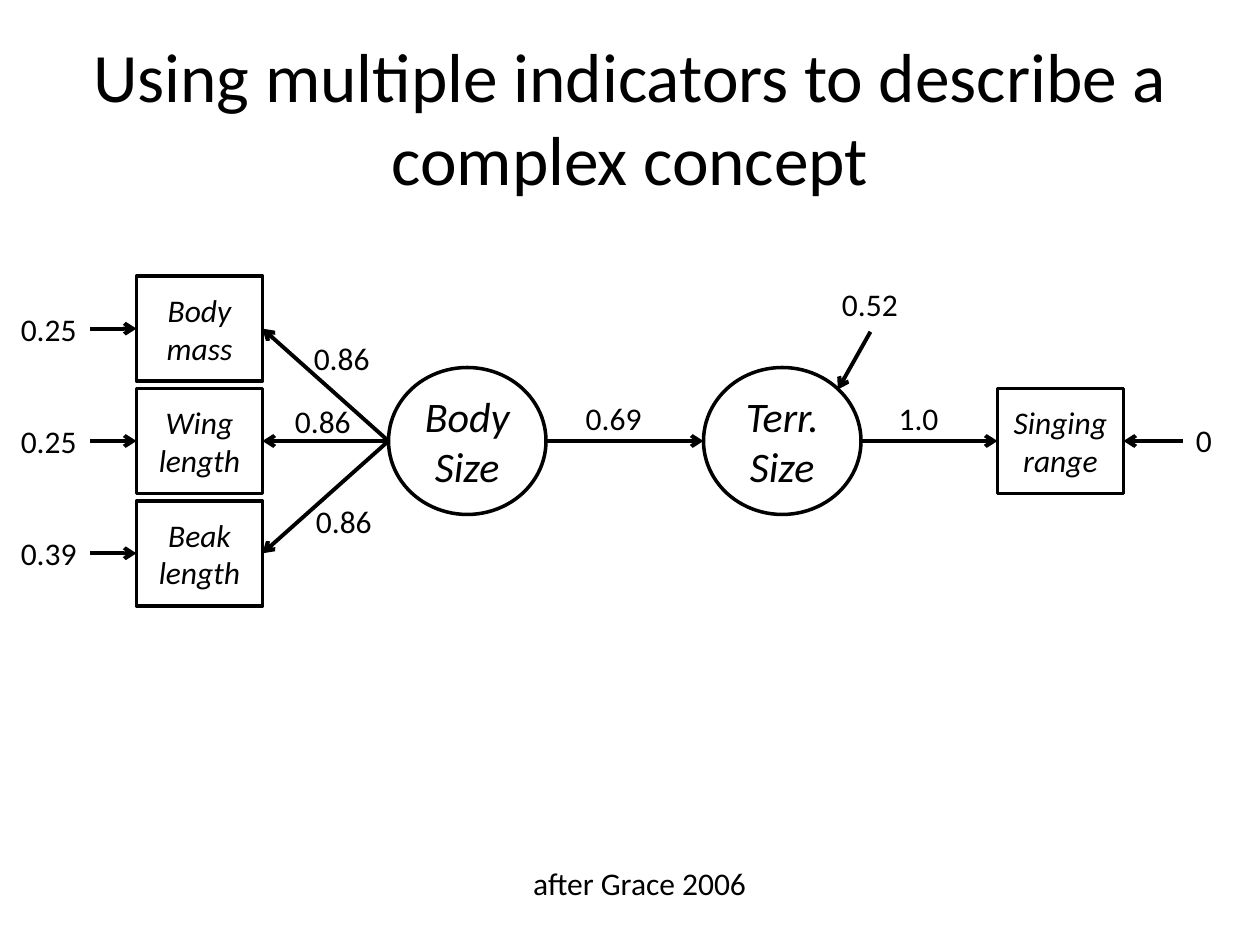
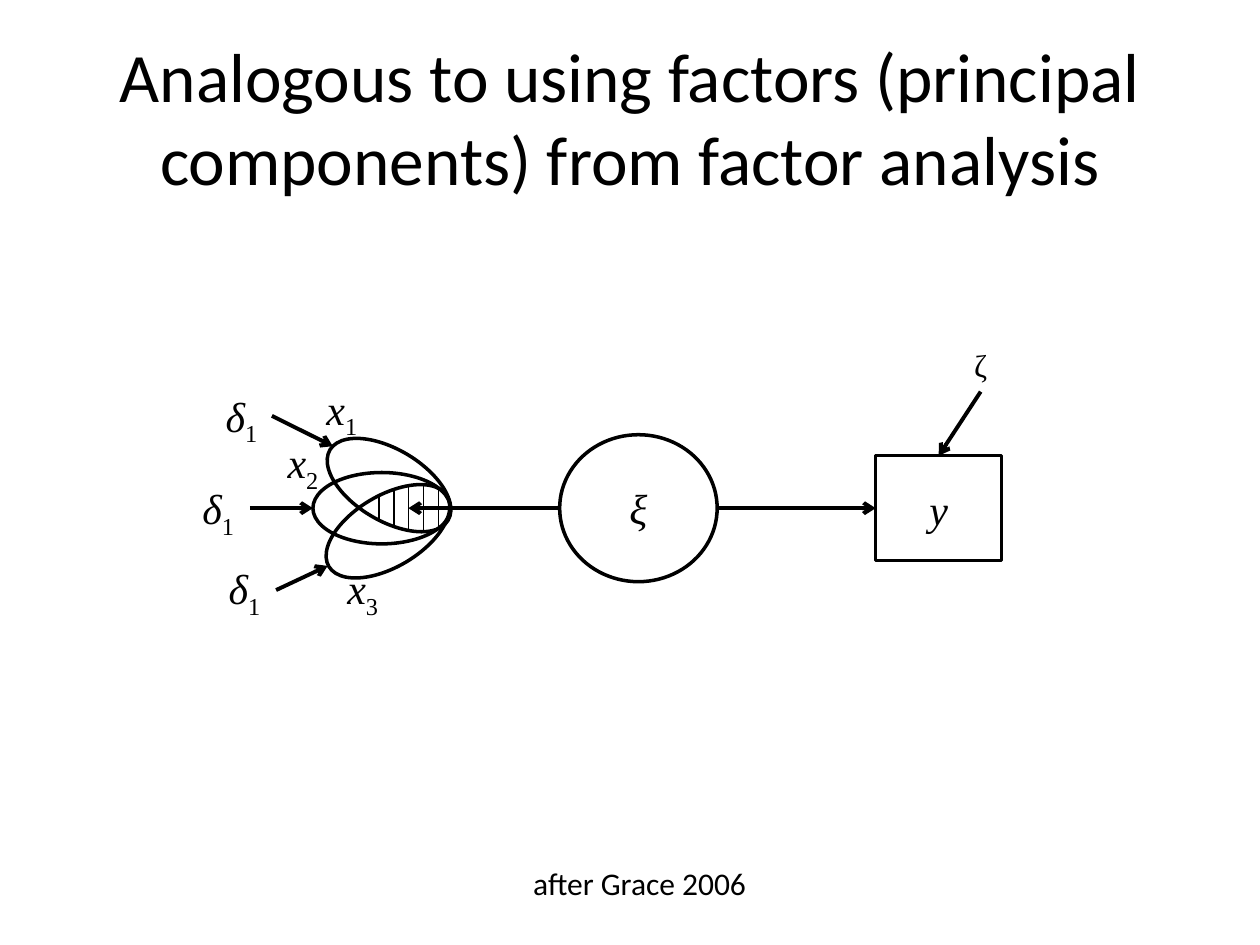
from pptx import Presentation
from pptx.dml.color import RGBColor
from pptx.enum.shapes import MSO_CONNECTOR, MSO_SHAPE
from pptx.enum.text import MSO_ANCHOR, MSO_AUTO_SIZE, PP_ALIGN
from pptx.oxml.ns import qn
from pptx.util import Inches, Pt
from lxml import etree

OVAL, RECTANGLE = MSO_SHAPE.OVAL, MSO_SHAPE.RECTANGLE
STRAIGHT = MSO_CONNECTOR.STRAIGHT
LEFT, CENTER = PP_ALIGN.LEFT, PP_ALIGN.CENTER
TOP, MIDDLE = MSO_ANCHOR.TOP, MSO_ANCHOR.MIDDLE
FIT_BOX, FIXED_BOX = MSO_AUTO_SIZE.SHAPE_TO_FIT_TEXT, MSO_AUTO_SIZE.NONE

BLACK = RGBColor(0x00, 0x00, 0x00)
WHITE = RGBColor(0xFF, 0xFF, 0xFF)

# Font formats
TITLE = dict(name="Calibri", size=Pt(39.6), italic=False)
LABEL = dict(name="Calibri", size=Pt(18), italic=False)
INDICATOR = dict(LABEL, italic=True)
CONCEPT = dict(INDICATOR, size=Pt(24))
SYMBOL = dict(CONCEPT, name="Times New Roman")
ERROR_SYMBOL = dict(SYMBOL, size=Pt(18), italic=False)

# Frame formats: labels hug their text, blocks centre it
HUG = dict(word_wrap=False, auto_size=FIT_BOX, vertical_anchor=TOP)
BLOCK = dict(word_wrap=True, auto_size=FIXED_BOX, vertical_anchor=MIDDLE)

# The slide is a grid of 120 columns by 90 rows
deck = Presentation()
deck.slide_width, deck.slide_height = Inches(10), Inches(7.5)
CELL = deck.slide_width / 120
CIRCLE_SIZE = (15, 14)
SQUARE_SIZE = (12, 10)
LABEL_HEIGHT = 4.8


def add_box(page, frame, text, font, kind=None, centred=False, subscript=""):
    """Add a text box, or a white outlined shape when a kind is given."""
    place = [round(value * CELL) for value in frame]
    if kind is None:
        box = page.shapes.add_textbox(*place)
    else:
        box = page.shapes.add_shape(kind, *place)
        box.shadow.inherit = False
        box.fill.solid()
        box.fill.fore_color.rgb = WHITE
        box.line.color.rgb = BLACK
        box.line.width = Pt(2)
    for key, value in (BLOCK if centred else HUG).items():
        setattr(box.text_frame, key, value)
    para = box.text_frame.paragraphs[0]
    para.alignment = CENTER if centred else LEFT
    for part in filter(None, (text, subscript)):
        span = para.add_run()
        span.text = part
        for key, value in font.items():
            setattr(span.font, key, value)
        span.font.color.rgb = BLACK
    if subscript:
        span.font.italic = False
        span.font._element.set("baseline", "-25000")
    return box


def add_line(page, start, end, width=2.25, arrow=True):
    """Add a straight black line, by default with an open arrowhead."""
    points = [round(value * CELL) for value in (*start, *end)]
    line = page.shapes.add_connector(STRAIGHT, *points)
    line.line.color.rgb = BLACK
    line.line.width = Pt(width)
    if arrow:
        etree.SubElement(line.line._get_or_add_ln(), qn("a:tailEnd"), type="arrow")
    etree.SubElement(line._element.spPr, qn("a:effectLst"))


# Shared title and source note
pages = []
for title in ("Using multiple indicators to describe a complex concept",
              "Analogous to using factors (principal components) from factor analysis"):
    page = deck.slides.add_slide(deck.slide_layouts[6])
    add_box(page, (6, 3.6, 108, 15), title, TITLE, centred=True)
    add_box(page, (49.6, 81.7, 23, LABEL_HEIGHT), "after Grace 2006", LABEL)
    pages.append(page)
indicator_page, factor_page = pages

# Slide 1: path model with three indicators of body size
axis = 42
for left, concept in ((37, "Body Size"), (67, "Terr. Size")):
    add_box(indicator_page, (left, axis - 7, *CIRCLE_SIZE), concept, CONCEPT,
            OVAL, centred=True)
add_box(indicator_page, (95, axis - 5, *SQUARE_SIZE), "Singing range", INDICATOR,
        RECTANGLE, centred=True)

indicators = (("Body mass", "0.25"), ("Wing length", "0.25"), ("Beak length", "0.39"))
for index, (indicator, error) in enumerate(indicators):
    middle = axis + (index - 1) * 10.7
    add_box(indicator_page, (13, middle - 5, *SQUARE_SIZE), indicator, INDICATOR,
            RECTANGLE, centred=True)
    add_box(indicator_page, (0.8, middle - 2.4, 7.8, LABEL_HEIGHT), error, LABEL)
    add_line(indicator_page, (8.6, middle), (13, middle))
    add_line(indicator_page, (37, axis), (25, middle))

for start, end in (((52, axis), (67, axis)), ((82, axis), (95, axis)),
                   ((112.7, axis), (107, axis)), ((82.9, 31.6), (79.8, 37.1))):
    add_line(indicator_page, start, end)

for left, top, width, value in ((28.7, 31.7, 7.8, "0.86"), (26.9, 37.7, 7.8, "0.86"),
                                (28.9, 47.2, 7.8, "0.86"), (54.6, 37.4, 7.8, "0.69"),
                                (79, 26.6, 7.8, "0.52"), (84.4, 37.4, 6.2, "1.0"),
                                (112.7, 39.5, 4, "0")):
    add_box(indicator_page, (left, top, width, LABEL_HEIGHT), value, LABEL)

# Slide 2: the shared variance of three variables as one factor
axis = 48.4
add_box(factor_page, (53.3, axis - 7, *CIRCLE_SIZE), "ξ", SYMBOL, OVAL, centred=True)
add_box(factor_page, (83.4, axis - 5, *SQUARE_SIZE), "y", SYMBOL, RECTANGLE, centred=True)
add_box(factor_page, (91.6, 32.4, 3.7, LABEL_HEIGHT), "ζ", ERROR_SYMBOL)

for left, top, angle in ((29.8, 45, 0), (30.5, 42.8, 30.8), (30.4, 47.2, -30.8)):
    petal = add_box(factor_page, (left, top, 13.1, 6.8), "", SYMBOL, OVAL, centred=True)
    petal.fill.background()
    petal.rotation = angle

overlap = ((47.2, 49.6), (46.6, 50.2), (46.3, 50.5), (46.3, 50.6), (46.4, 50.3))
for index, (top, bottom) in enumerate(overlap):
    column = 36.1 + index * 1.42
    add_line(factor_page, (column, top), (column, bottom), width=0.75, arrow=False)

for left, top, letter, number in ((29.9, 35.9, "x", "1"), (26.2, 41, "x", "2"),
                                  (31.9, 53, "x", "3"), (20.3, 36.6, "δ", "1"),
                                  (18.1, 45.4, "δ", "1"), (20.6, 53, "δ", "1")):
    add_box(factor_page, (left, top, 5.6, 6), letter, SYMBOL, subscript=number)

for start, end in (((68.3, axis), (83.4, axis)), ((53.3, axis), (38.9, axis)),
                   ((93.4, 37.3), (89.4, 43.4)), ((25.9, 39.6), (31.7, 42.5)),
                   ((23.8, axis), (29.8, axis)), ((26.3, 56.2), (31.2, 53.9))):
    add_line(factor_page, start, end)

deck.save("out.pptx")
